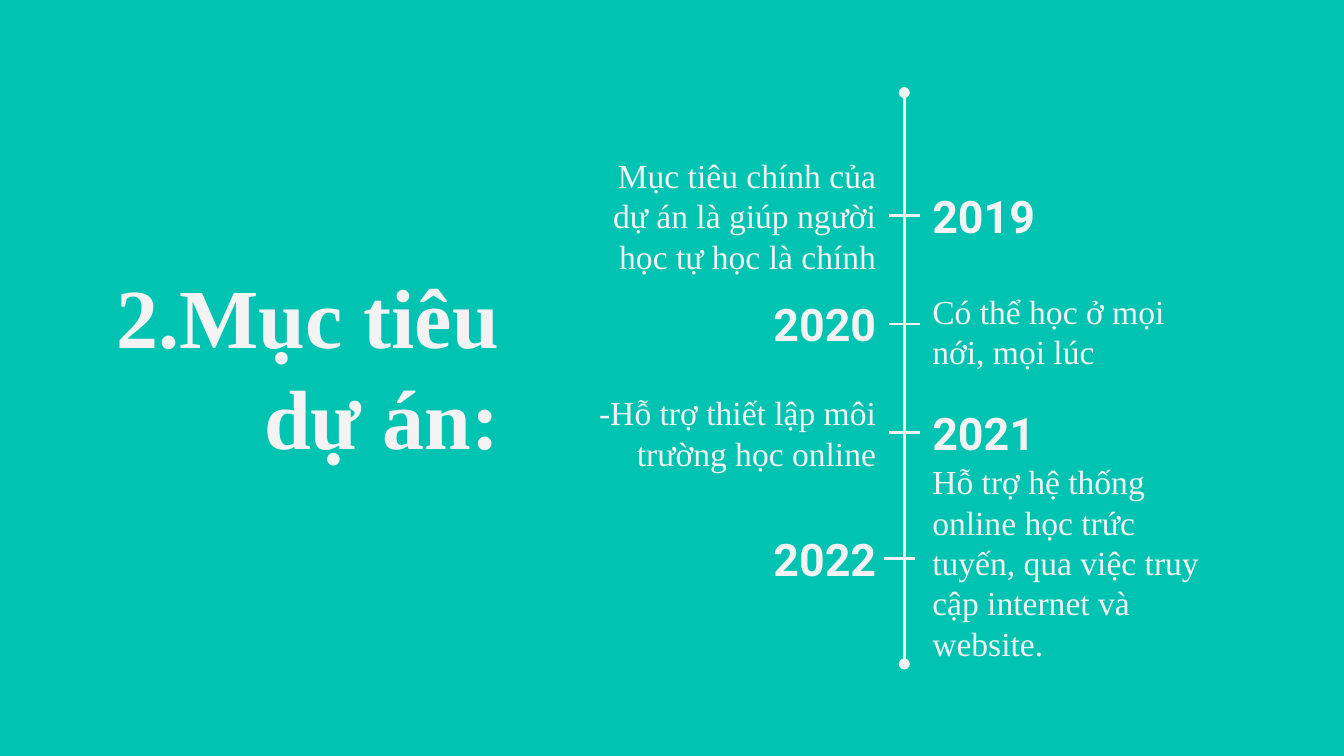
import pptx
import pptx.util
import pptx.dml.color
import pptx.enum.shapes
import pptx.enum.text
import pptx.oxml
import pptx.oxml.ns

Cm, Pt = pptx.util.Cm, pptx.util.Pt
Align = pptx.enum.text.PP_ALIGN
Anchor = pptx.enum.text.MSO_ANCHOR

# Content
TEAL, PALE = "00C3B1", "F3F3F3"
SERIF, SANS = "Times New Roman", "Roboto"
TITLE = "2.Mục tiêu dự án:"
GOALS = [
    ("2019", "Mục tiêu chính của dự án là giúp người học tự học là chính"),
    ("2020", "Có thể học ở mọi nới, mọi lúc"),
    ("2021", "-Hỗ trợ thiết lập môi trường học online"),
    ("2022", "Hỗ trợ hệ thống online học trức tuyến, qua việc truy cập internet và website."),
]

# Grid, in centimetres
LEFT, RIGHT, WIDE, HIGH = 11.07, 17.37, 5.74, 1.75
FIRST, STEP = 3.2, 2.05
AXIS, TICK = 17.09, 0.58


def color(code):
    return pptx.dml.color.RGBColor.from_string(code)


def write(slide, box, text, size, font, bold, align, anchor):
    shape = slide.shapes.add_textbox(*[Cm(n) for n in box])
    frame = shape.text_frame
    frame.word_wrap = True
    frame.vertical_anchor = anchor
    for side in ("left", "right", "top", "bottom"):
        setattr(frame, "margin_" + side, Cm(0.25))
    para = frame.paragraphs[0]
    para.alignment = align
    run = para.add_run()
    run.text = text
    run.font.size = Pt(size)
    run.font.name = font
    run.font.bold = bold
    run.font.color.rgb = color(PALE)


def draw(slide, x1, y1, x2, y2, dots=False):
    kind = pptx.enum.shapes.MSO_CONNECTOR.STRAIGHT
    line = slide.shapes.add_connector(kind, Cm(x1), Cm(y1), Cm(x2), Cm(y2))
    line.line.color.rgb = color(PALE)
    line.line.width = Pt(1.5)
    props = line._element.spPr
    if dots:
        for tag in ("a:headEnd", "a:tailEnd"):
            end = pptx.oxml.ns.qn(tag)
            props.find(pptx.oxml.ns.qn("a:ln")).makeelement(end)
            mark = pptx.oxml.parse_xml(
                f'<{tag} {pptx.oxml.ns.nsdecls("a")} type="oval" w="med" len="med"/>')
            props.find(pptx.oxml.ns.qn("a:ln")).append(mark)
    props.append(pptx.oxml.parse_xml(
        f'<a:effectLst {pptx.oxml.ns.nsdecls("a")}/>'))


def main():
    deck = pptx.Presentation()
    deck.slide_width, deck.slide_height = Cm(25.4), Cm(14.29)
    slide = deck.slides.add_slide(deck.slide_layouts[6])
    fill = slide.background.fill
    fill.solid()
    fill.fore_color.rgb = color(TEAL)

    # Title and axis
    write(slide, (0.84, 4.75, 8.84, 4.8), TITLE, 45, SERIF, True,
          Align.RIGHT, Anchor.TOP)
    draw(slide, AXIS, 1.75, AXIS, 12.55, dots=True)

    # Years and goals swap sides from row to row
    for i, (year, goal) in enumerate(GOALS):
        last = i == len(GOALS) - 1
        top = 9.68 if last else FIRST + i * STEP
        sides = [(LEFT, Align.RIGHT), (RIGHT, Align.LEFT)]
        if i % 2:
            sides.reverse()
        (gx, galign), (yx, yalign) = sides
        anchor = Anchor.TOP if i == 1 else Anchor.MIDDLE
        drop = 0.07 if last else 0
        write(slide, (gx, top + drop, WIDE, HIGH), goal, 18, SERIF, False,
              galign, anchor)
        write(slide, (yx, top, WIDE, HIGH), year, 24, SANS, True,
              yalign, Anchor.MIDDLE)
        start = 16.71 if last else AXIS - TICK / 2
        mid = top + HIGH / 2
        draw(slide, start, mid, start + TICK, mid)

    deck.save("out.pptx")


if __name__ == "__main__":
    main()
